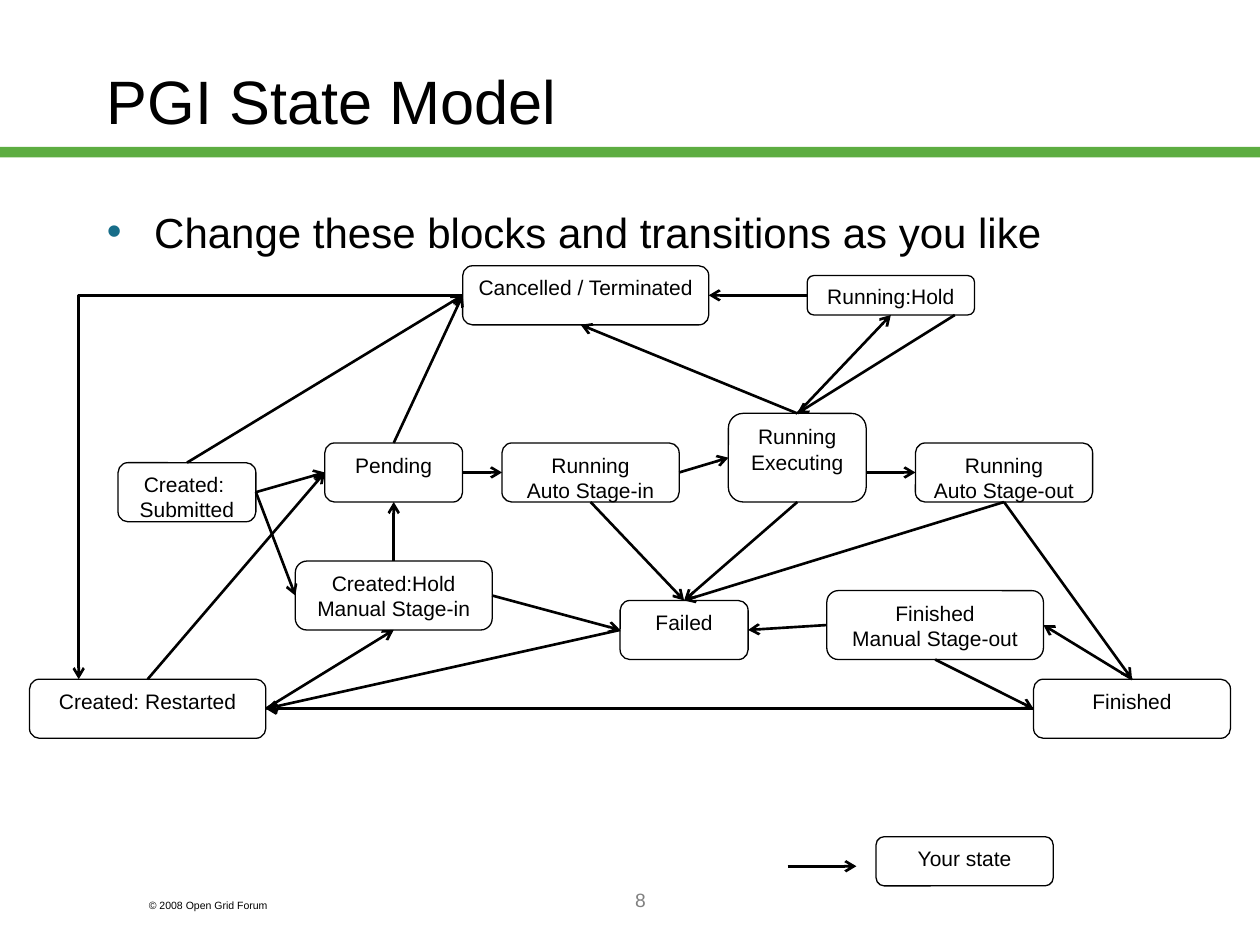
from lxml import etree
from pptx import Presentation
from pptx.dml.color import RGBColor
from pptx.enum.shapes import MSO_CONNECTOR as Connector, MSO_SHAPE as Shape
from pptx.enum.text import MSO_ANCHOR as Anchor, PP_ALIGN as Align
from pptx.oxml.ns import qn
from pptx.util import Pt

COLORS = {"ink": "000000", "paper": "FFFFFF", "band": "5DAD41",
          "bullet": "176D89", "number": "808080"}
FONT = "Arial"
GRID = 45 / 8  # the diagram sits on a square grid with this pitch, in points
TOP, LEFT, BOTTOM, RIGHT = range(4)

# name: (lines, column, row, columns wide, rows high)
STATES = {
    "submitted": (["Created: ", "Submitted"], 12, 47, 14, 6),
    "created hold": (["Created:Hold", "Manual Stage-in"], 30, 57, 20, 7),
    "yours": (["Your state"], 89, 85, 18, 5),
    "pending": (["Pending"], 33, 45, 14, 6),
    "cancelled": (["Cancelled / Terminated"], 47, 27, 25, 6),
    "finished": (["Finished"], 105, 69, 20, 6),
    "restarted": (["Created: Restarted"], 3, 69, 24, 6),
    "stage-in": (["Running", "Auto Stage-in"], 51, 45, 18, 6),
    "executing": (["Running", "Executing"], 74, 42, 14, 9),
    "manual out": (["Finished", "Manual Stage-out"], 84, 60, 22, 7),
    "stage-out": (["Running", "Auto Stage-out"], 93, 45, 18, 6),
    "failed": (["Failed"], 63, 61, 13, 6),
    "running hold": (["Running:Hold"], 82, 28, 17, 4),
}

# each end is a (state, side) pair or a free (column, row) point
ARROWS = [
    (("submitted", RIGHT), ("created hold", LEFT)),
    (("submitted", RIGHT), ("pending", LEFT)),
    (("submitted", TOP), ("cancelled", LEFT)),
    (("created hold", TOP), ("pending", BOTTOM)),
    (("created hold", RIGHT), ("failed", LEFT)),
    (("pending", TOP), ("cancelled", LEFT)),
    (("pending", RIGHT), ("stage-in", LEFT)),
    (("restarted", TOP), ("pending", LEFT)),
    (("restarted", RIGHT), ("created hold", BOTTOM)),
    (("stage-in", RIGHT), ("executing", LEFT)),
    (("stage-in", BOTTOM), ("failed", TOP)),
    ((88, 48), ("stage-out", LEFT)),
    (("executing", TOP), (59, 33)),
    (("executing", TOP), ("running hold", BOTTOM)),
    (("executing", BOTTOM), ("failed", TOP)),
    (("running hold", LEFT), ("cancelled", RIGHT)),
    ((97, 32), ("executing", TOP)),
    (("stage-out", BOTTOM), ("finished", TOP)),
    (("stage-out", BOTTOM), ("failed", TOP)),
    (("finished", TOP), ("manual out", RIGHT)),
    (("finished", LEFT), ("restarted", RIGHT)),
    (("manual out", BOTTOM), ("finished", LEFT)),
    (("manual out", LEFT), ("failed", RIGHT)),
    (("failed", LEFT), ("restarted", RIGHT)),
    ((80, 88), (87, 88)),
]
RESTART = (47, 30), (8, 69)


def color(name):
    return RGBColor.from_string(COLORS[name])


def write(box, lines, size, ink="ink", align=Align.LEFT, anchor=Anchor.TOP):
    frame = box.text_frame
    frame.word_wrap = True
    frame.vertical_anchor = anchor
    for index, line in enumerate(lines):
        para = frame.paragraphs[0] if index == 0 else frame.add_paragraph()
        para.alignment = align
        span = para.add_run()
        span.text = line
        span.font.name = FONT
        span.font.size = Pt(size)
        span.font.color.rgb = color(ink)


def add_text(page, place, text, size, **style):
    box = page.shapes.add_textbox(*map(Pt, place))
    write(box, [text], size, **style)
    return box


def add_bullet(para, indent):
    props = para._p.get_or_add_pPr()
    props.set("marL", str(Pt(indent)))
    props.set("indent", str(-Pt(indent)))
    tint = etree.SubElement(props, qn("a:buClr"))
    etree.SubElement(tint, qn("a:srgbClr"), val=COLORS["bullet"])
    etree.SubElement(props, qn("a:buFont"), typeface=FONT)
    etree.SubElement(props, qn("a:buChar"), char="•")


def add_state(page, lines, *cells):
    box = page.shapes.add_shape(Shape.ROUNDED_RECTANGLE,
                                *(Pt(cell * GRID) for cell in cells))
    box.shadow.inherit = False
    box.fill.solid()
    box.fill.fore_color.rgb = color("paper")
    box.line.color.rgb = color("ink")
    box.line.width = Pt(0.75)
    write(box, lines, 12, align=Align.CENTER)
    return box


def locate(end):
    """Return the (column, row) point of an arrow end."""
    if end[0] not in STATES:
        return end
    name, side = end
    _, column, row, wide, high = STATES[name]
    across, down = {TOP: (0.5, 0), LEFT: (0, 0.5),
                    BOTTOM: (0.5, 1), RIGHT: (1, 0.5)}[side]
    return column + across * wide, row + down * high


def add_arrow(page, start, end, kind=Connector.STRAIGHT):
    cells = (*locate(start), *locate(end))
    arrow = page.shapes.add_connector(kind, *(Pt(cell * GRID) for cell in cells))
    arrow.line.color.rgb = color("ink")
    arrow.line.width = Pt(1.5)
    line = arrow._element.spPr.find(qn("a:ln"))
    etree.SubElement(line, qn("a:tailEnd"), type="arrow")
    etree.SubElement(arrow._element.spPr, qn("a:effectLst"))
    return arrow


def main():
    deck = Presentation()
    deck.slide_width, deck.slide_height = Pt(720), Pt(540)
    page = deck.slides.add_slide(deck.slide_layouts[6])

    band = page.shapes.add_shape(Shape.RECTANGLE, *map(Pt, (0, 84, 720, 6)))
    band.shadow.inherit = False
    band.fill.solid()
    band.fill.fore_color.rgb = color("band")
    band.line.fill.background()

    add_text(page, (78, 510, 108, 14.4), "© 2008 Open Grid Forum", 6)
    add_text(page, (156, 504, 420, 36), "8", 11, ink="number", align=Align.CENTER)
    add_text(page, (54, 12, 612, 90), "PGI State Model", 35, anchor=Anchor.MIDDLE)
    body = add_text(page, (54, 120, 666, 32),
                    "Change these blocks and transitions as you like", 24)
    para = body.text_frame.paragraphs[0]
    para.line_spacing = 0.8
    add_bullet(para, 27)

    boxes = {name: add_state(page, *state) for name, state in STATES.items()}
    for start, end in ARROWS:
        arrow = add_arrow(page, start, end)
        if start[0] in boxes:
            arrow.begin_connect(boxes[start[0]], start[1])
        if end[0] in boxes:
            arrow.end_connect(boxes[end[0]], end[1])

    restart = add_arrow(page, *RESTART, Connector.ELBOW)
    restart._element.spPr.find(qn("a:prstGeom")).set("prst", "bentConnector2")

    deck.save("out.pptx")


if __name__ == "__main__":
    main()
